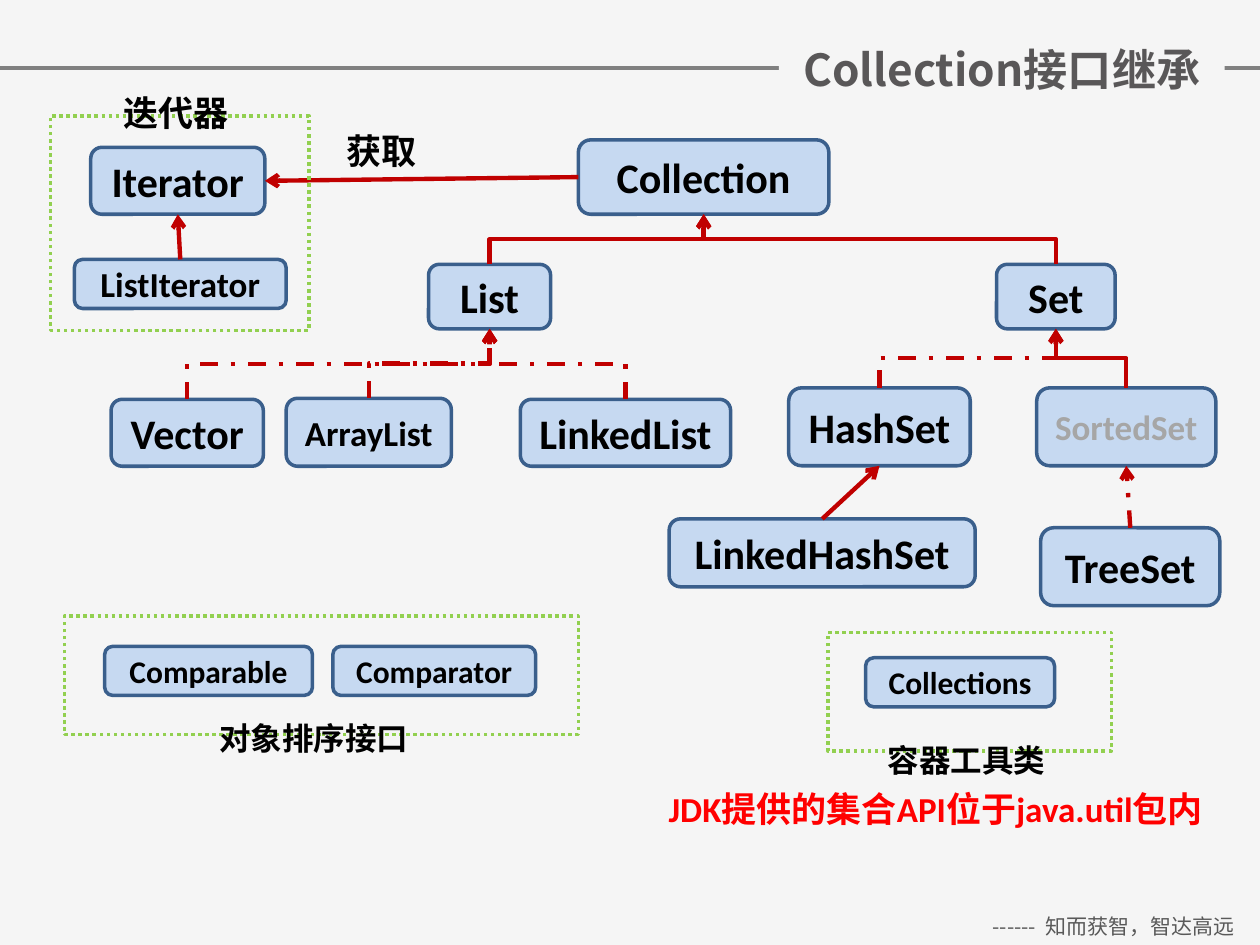
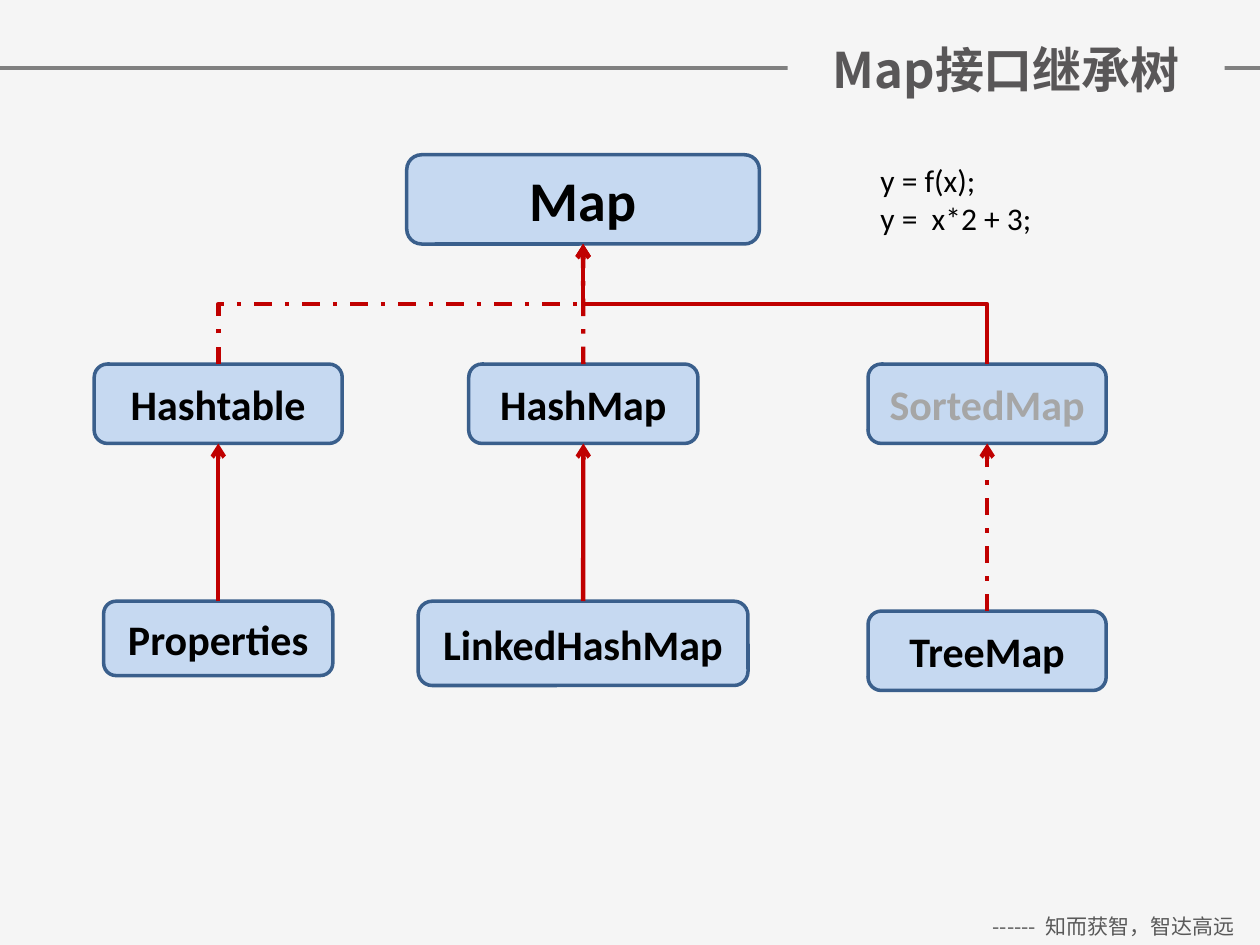
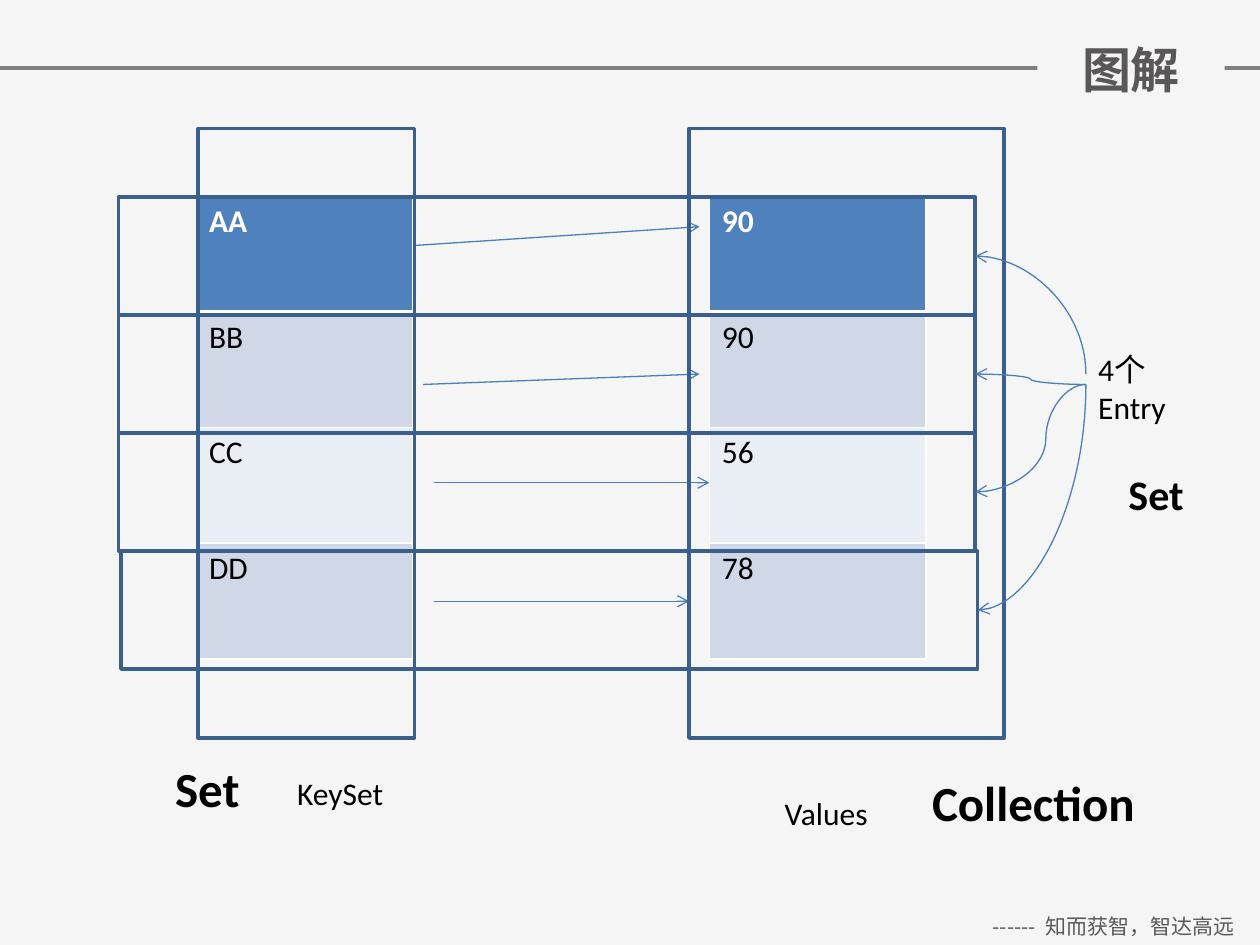
from lxml.etree import SubElement
from pptx import Presentation
from pptx.dml.color import RGBColor
from pptx.enum.dml import MSO_LINE
from pptx.enum.shapes import MSO_CONNECTOR as CXN, MSO_SHAPE as SHAPE
from pptx.enum.text import MSO_ANCHOR as ANCHOR, PP_ALIGN as ALIGN
from pptx.oxml.ns import qn
from pptx.util import Cm, Pt

COLORS = {
    "bg": "F5F5F5", "rule": "808080", "title": "595758", "footer": "595959",
    "box": "C6D9F1", "edge": "3A5F8C", "arrow": "C00000", "group": "92D050",
    "thin": "4B7EBC", "text": "000000", "muted": "A6A6A6", "alert": "FF0000",
    "white": "FFFFFF", "head": "4F81BD", "band": "D0D8E8", "light": "E9EDF4",
}
LATIN, CJK = "Calibri", "Noto Sans CJK SC"
FOOTER = "------  知而获智，智达高远"
TITLE_RIGHT = 24.69
TOP, LEFT, BOTTOM, RIGHT = range(4)

# Boxes: name, (left, top, width, height) in cm, text size, text colour
COLLECTION_BOXES = [
    ("Collection", (11.66, 2.82, 5.05, 1.5), 24, "text"),
    ("List", (8.64, 5.33, 2.46, 1.3), 24, "text"),
    ("Set", (20.09, 5.33, 2.39, 1.3), 24, "text"),
    ("Vector", (2.24, 8.05, 3.07, 1.35), 24, "text"),
    ("ArrayList", (5.77, 8.03, 3.33, 1.37), 20, "text"),
    ("LinkedList", (10.49, 8.05, 4.24, 1.35), 24, "text"),
    ("HashSet", (15.9, 7.82, 3.66, 1.57), 24, "text"),
    ("SortedSet", (20.9, 7.82, 3.61, 1.57), 20, "muted"),
    ("LinkedHashSet", (13.49, 10.46, 6.17, 1.37), 24, "text"),
    ("TreeSet", (20.98, 10.64, 3.61, 1.57), 24, "text"),
    ("Comparable", (2.11, 13.03, 4.19, 0.99), 18, "text"),
    ("Comparator", (6.71, 13.03, 4.09, 0.99), 18, "text"),
    ("Collections", (17.45, 13.26, 3.81, 0.99), 18, "text"),
    ("Iterator", (1.83, 2.97, 3.51, 1.35), 24, "text"),
    ("ListIterator", (1.5, 5.23, 4.27, 0.99), 20, "text"),
]
# Links: child, parent, connector type, dashed
COLLECTION_LINKS = [
    ("List", "Collection", CXN.ELBOW, False),
    ("Set", "Collection", CXN.ELBOW, False),
    ("Vector", "List", CXN.ELBOW, True),
    ("ArrayList", "List", CXN.ELBOW, True),
    ("LinkedList", "List", CXN.ELBOW, True),
    ("HashSet", "Set", CXN.ELBOW, True),
    ("SortedSet", "Set", CXN.ELBOW, False),
    ("LinkedHashSet", "HashSet", CXN.STRAIGHT, False),
    ("TreeSet", "SortedSet", CXN.STRAIGHT, True),
    ("ListIterator", "Iterator", CXN.STRAIGHT, False),
]
GROUPS = [
    (1.02, 2.34, 5.21, 4.32),
    (1.3, 12.42, 10.36, 2.39),
    (16.69, 12.75, 5.72, 2.39),
]
# Labels: paragraphs, place, size, bold, colour
COLLECTION_LABELS = [
    (["迭代器"], (2.24, 1.73, 3.1, 1.12), 20, True, "text"),
    (["对象排序接口"], (4.17, 14.38, 4.47, 1.02), 18, True, "text"),
    (["容器工具类"], (17.65, 14.81, 3.81, 1.02), 18, True, "text"),
    (["获取"], (6.73, 2.49, 2.08, 1.12), 20, True, "text"),
    (["JDK提供的集合API位于java.util包内"], (13.23, 15.75, 12.17, 1.12), 20, True, "alert"),
]

MAP_BOXES = [
    ("Map", (8.2, 3.12, 7.11, 1.8), 32, "text"),
    ("Hashtable", (1.9, 7.34, 5, 1.6), 24, "text"),
    ("HashMap", (9.45, 7.34, 4.62, 1.6), 24, "text"),
    ("SortedMap", (17.5, 7.34, 4.8, 1.6), 24, "muted"),
    ("Properties", (2.09, 12.12, 4.62, 1.5), 24, "text"),
    ("LinkedHashMap", (8.43, 12.12, 6.65, 1.7), 24, "text"),
    ("TreeMap", (17.5, 12.32, 4.8, 1.6), 24, "text"),
]
MAP_LINKS = [
    ("Hashtable", "Map", CXN.ELBOW, True),
    ("SortedMap", "Map", CXN.ELBOW, False),
    ("HashMap", "Map", CXN.STRAIGHT, True),
    ("Properties", "Hashtable", CXN.STRAIGHT, False),
    ("LinkedHashMap", "HashMap", CXN.STRAIGHT, False),
    ("TreeMap", "SortedMap", CXN.STRAIGHT, True),
]
MAP_LABELS = [
    (["y = f(x);", "y =  x*2 + 3;"], (17.5, 3.12, 6.6, 1.8), 18, False, "text"),
]

# Columns: left edge, values
COLUMNS = [(3.96, ["AA", "BB", "CC", "DD"]), (14.3, ["90", "90", "56", "78"])]
COLUMN_TOP, COLUMN_WIDTH, ROW_HEIGHT = 3.96, 4.37, 2.33
ROW_FILLS = ["head", "band", "light", "band"]
PAIR_ARROWS = [
    ((8.33, 4.95), (14.1, 4.57)),
    ((8.53, 7.75), (14.1, 7.54)),
    ((8.74, 9.73), (14.3, 9.73)),
    ((8.74, 12.12), (13.89, 12.12)),
]
ENTRY_LEFTS = [2.39, 2.39, 2.39, 2.44]
ENTRY_TOP, ENTRY_WIDTH, ENTRY_HEIGHT = 3.97, 17.27, 2.38
VIEW_FRAMES = [(3.99, 2.59, 4.37, 12.29), (13.89, 2.59, 6.35, 12.29)]
# Curves to the entries: start y, preset, rotation, flips, bend position
CURVE_X = 21.89
CURVES = [
    (7.54, "curvedConnector2", 270, "V", None),
    (7.75, "curvedConnector3", 180, "", None),
    (7.75, "curvedConnector3", 180, "V", 36200),
    (7.75, "curvedConnector2", 90, "", None),
]
ENTRY_LABELS = [
    (["KeySet"], (5.74, 15.47, 2.97, 1.02), 18, False, "text"),
    (["Values"], (15.57, 15.88, 2.97, 1.02), 18, False, "text"),
    (["4个Entry"], (21.89, 6.93, 2.79, 1.8), 18, False, "text"),
    (["Set"], (3.28, 15.16, 3.5, 1.45), 28, True, "text"),
    (["Collection"], (18.54, 15.44, 5, 1.45), 28, True, "text"),
    (["Set"], (22.5, 9.32, 2.21, 1.27), 24, True, "text"),
]


def rgb(name):
    return RGBColor.from_string(COLORS[name])


def cms(values):
    return [Cm(v) for v in values]


def add_run(p, text, size, color, bold=False, latin=LATIN):
    r = p.add_run()
    r.text = text
    r.font.size, r.font.bold, r.font.name = Pt(size), bold, latin
    r.font.color.rgb = rgb(color)
    SubElement(r.font._element, qn("a:ea"), typeface=CJK)


def add_label(slide, lines, place, size, bold, color, align=ALIGN.LEFT, latin=LATIN):
    tf = slide.shapes.add_textbox(*cms(place)).text_frame
    tf.word_wrap = True
    for i, line in enumerate(lines):
        p = tf.add_paragraph() if i else tf.paragraphs[0]
        p.alignment = align
        add_run(p, line, size, color, bold, latin)


def add_frame(slide, place, color="edge", dash=None, kind=SHAPE.RECTANGLE):
    sp = slide.shapes.add_shape(kind, *cms(place))
    sp.shadow.inherit = False
    sp.fill.background()
    sp.line.color.rgb, sp.line.width = rgb(color), Pt(2)
    if dash:
        sp.line.dash_style = dash
    return sp


def add_box(slide, name, place, size, color):
    sp = add_frame(slide, place, kind=SHAPE.ROUNDED_RECTANGLE)
    sp.fill.solid()
    sp.fill.fore_color.rgb = rgb("box")
    tf = sp.text_frame
    tf.margin_left = tf.margin_right = 0
    tf.vertical_anchor = ANCHOR.MIDDLE
    p = tf.paragraphs[0]
    p.alignment = ALIGN.CENTER
    add_run(p, name, size, color, True)
    return sp


def style_line(c, color, width, dashed=False, arrow=True):
    c.line.color.rgb, c.line.width = rgb(color), Pt(width)
    if dashed:
        c.line.dash_style = MSO_LINE.DASH_DOT
    sp_pr = c._element.spPr
    if arrow:
        SubElement(sp_pr.find(qn("a:ln")), qn("a:tailEnd"), type="arrow")
    SubElement(sp_pr, qn("a:effectLst"))


def turn(c, rotation, flips):
    """Turn a connector about its centre so that it still spans the same two ends."""
    x, y, w, h = c.left, c.top, c.width, c.height
    if rotation in (90, 270):
        x, y, w, h = x + (w - h) // 2, y + (h - w) // 2, h, w
    c.left, c.top, c.width, c.height = x, y, w, h
    xfrm = c._element.spPr.find(qn("a:xfrm"))
    xfrm.set("rot", str(rotation * 60000))
    for axis in "HV":
        xfrm.set("flip" + axis, str(int(axis in flips)))


def link(slide, child, parent, kind=CXN.STRAIGHT, dashed=False, sides=(TOP, BOTTOM)):
    c = slide.shapes.add_connector(kind, 0, 0, 0, 0)
    c.begin_connect(child, sides[0])
    c.end_connect(parent, sides[1])
    if kind == CXN.ELBOW:
        goes_right = c.end_x > c.begin_x
        turn(c, *((90, "HV") if goes_right else (270, "V")))
    style_line(c, "arrow", 2.5, dashed)


def add_tree(slide, boxes, links):
    shapes = {box[0]: add_box(slide, *box) for box in boxes}
    for child, parent, kind, dashed in links:
        link(slide, shapes[child], shapes[parent], kind, dashed)
    return shapes


def add_column(slide, left, values):
    frame = slide.shapes.add_table(
        len(values), 1, *cms((left, COLUMN_TOP, COLUMN_WIDTH, ROW_HEIGHT * len(values))))
    for i, (value, fill) in enumerate(zip(values, ROW_FILLS)):
        cell = frame.table.cell(i, 0)
        cell.fill.solid()
        cell.fill.fore_color.rgb = rgb(fill)
        head = i == 0
        add_run(cell.text_frame.paragraphs[0], value, 18, "white" if head else "text", head)
        tc_pr = cell._tc.get_or_add_tcPr()
        for n, side in enumerate("LRTB"):
            thick = (head and side == "B") or (i == 1 and side == "T")
            ln = SubElement(tc_pr, qn("a:ln" + side), w=str(Pt(3 if thick else 1)))
            SubElement(SubElement(ln, qn("a:solidFill")), qn("a:srgbClr"), val=COLORS["white"])
            tc_pr.insert(n, ln)


def add_curve(slide, entry, start_y, preset, rotation, flips, bend):
    c = slide.shapes.add_connector(
        CXN.CURVE, Cm(CURVE_X), Cm(start_y),
        entry.left + entry.width, entry.top + entry.height // 2)
    turn(c, rotation, flips)
    geom = c._element.spPr.find(qn("a:prstGeom"))
    geom.set("prst", preset)
    if bend:
        SubElement(geom.find(qn("a:avLst")), qn("a:gd"), name="adj1", fmla=f"val {bend}")
    style_line(c, "thin", 0.75)


def new_slide(prs, title, width, size=28):
    slide = prs.slides.add_slide(prs.slide_layouts[5])
    rule = slide.shapes.add_connector(CXN.STRAIGHT, 0, Cm(1.37), prs.slide_width, Cm(1.37))
    style_line(rule, "rule", 2, arrow=False)
    slide.shapes._spTree.insert(2, rule._element)  # behind the title
    add_label(slide, [FOOTER], (19.5, 18.29, 5.9, 0.76), 12, False, "footer", ALIGN.CENTER, CJK)

    sp = slide.shapes.title
    sp.left, sp.top, sp.width, sp.height = cms((TITLE_RIGHT - width, 0.66, width, 1.45))
    sp.fill.solid()
    sp.fill.fore_color.rgb = rgb("bg")
    sp.text_frame.vertical_anchor = ANCHOR.MIDDLE
    p = sp.text_frame.paragraphs[0]
    p.alignment = ALIGN.CENTER
    add_run(p, title, size, "title", True, CJK)
    return slide


def collection_slide(prs):
    slide = new_slide(prs, "Collection接口继承", 8.99, 25.2)
    shapes = add_tree(slide, COLLECTION_BOXES, COLLECTION_LINKS)
    link(slide, shapes["Collection"], shapes["Iterator"], sides=(LEFT, RIGHT))
    for place in GROUPS:
        add_frame(slide, place, "group", MSO_LINE.ROUND_DOT)
    for label in COLLECTION_LABELS:
        add_label(slide, *label)


def map_slide(prs):
    slide = new_slide(prs, "Map接口继承树", 8.81)
    add_tree(slide, MAP_BOXES, MAP_LINKS)
    for label in MAP_LABELS:
        add_label(slide, *label)


def entry_slide(prs):
    slide = new_slide(prs, "图解", 3.78)
    for left, values in COLUMNS:
        add_column(slide, left, values)
    for start, end in PAIR_ARROWS:
        c = slide.shapes.add_connector(CXN.STRAIGHT, *cms(start + end))
        style_line(c, "thin", 0.75)
    entries = [
        add_frame(slide, (left, ENTRY_TOP + i * ENTRY_HEIGHT, ENTRY_WIDTH, ENTRY_HEIGHT))
        for i, left in enumerate(ENTRY_LEFTS)
    ]
    for place in VIEW_FRAMES:
        add_frame(slide, place)
    for entry, curve in zip(entries, CURVES):
        add_curve(slide, entry, *curve)
    for label in ENTRY_LABELS:
        add_label(slide, *label)


def main():
    prs = Presentation()
    prs.slide_width, prs.slide_height = Cm(25.4), Cm(19.05)
    fill = prs.slide_master.background.fill
    fill.solid()
    fill.fore_color.rgb = rgb("bg")
    collection_slide(prs)
    map_slide(prs)
    entry_slide(prs)
    prs.save("out.pptx")


if __name__ == "__main__":
    main()
